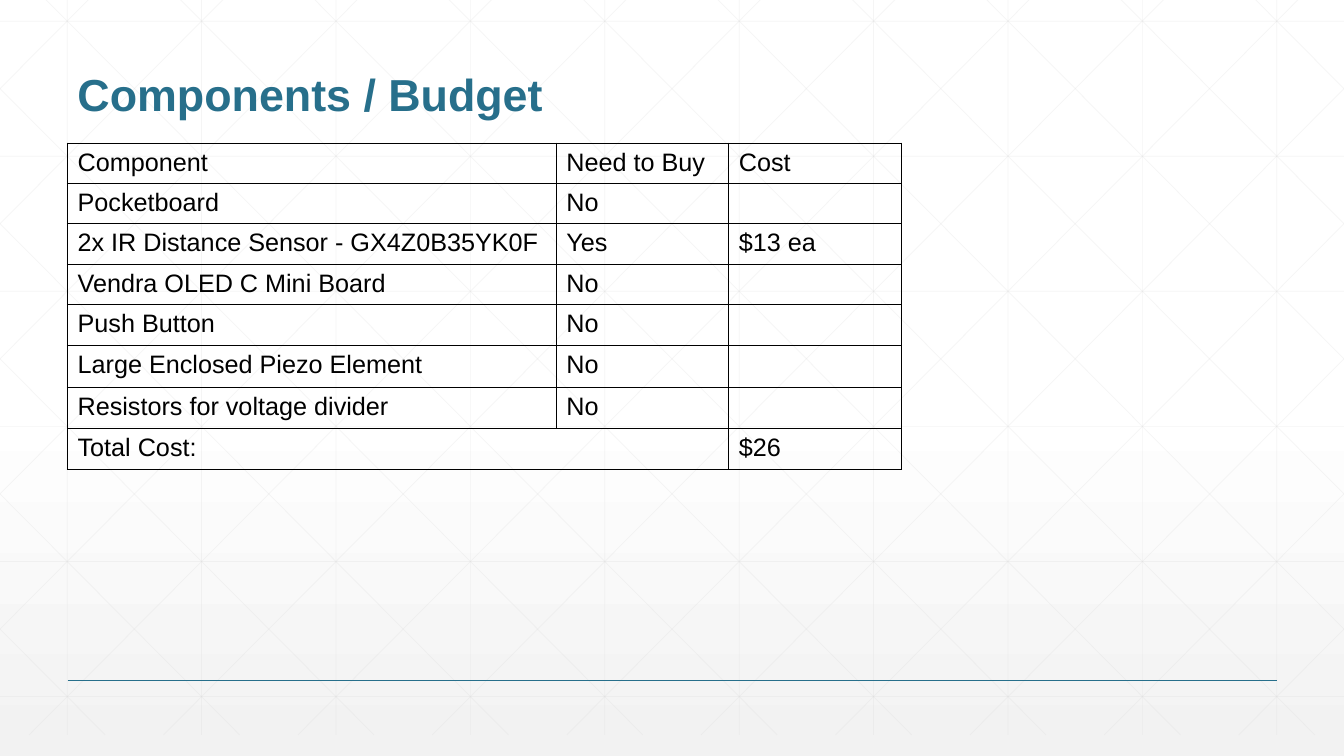
from typing import Any, NamedTuple

from lxml import etree
from pptx import Presentation
from pptx.dml.color import RGBColor
from pptx.enum import shapes, text
from pptx.oxml import ns
from pptx.util import Inches, Pt

WHITE = RGBColor(0xFF, 0xFF, 0xFF)
PALE_GREY = RGBColor(0xF2, 0xF2, 0xF2)
GRID_GREY = RGBColor(0xD9, 0xD9, 0xD9)
TEAL = RGBColor(0x27, 0x6F, 0x8B)
BLACK = RGBColor(0, 0, 0)

WIDTH, HEIGHT = 40 / 3, 7.5
GRID_TOP, GRID_BOTTOM = -0.21, 7.29
GRID_STEP = 4 / 3
DIAGONAL_START, DIAGONAL_RUN = 0.25, 7.46

COLUMN_WIDTHS = (4.85, 1.71, 1.71)
ROW_HEIGHTS = (0.38,) * 4 + (0.41,) * 4


class Line(NamedTuple):
    x1: float
    y1: float
    x2: float
    y2: float


class Component(NamedTuple):
    name: str
    need_to_buy: str
    cost: str = ""


BUDGET = (
    Component("Component", "Need to Buy", "Cost"),
    Component("Pocketboard", "No"),
    Component("2x IR Distance Sensor - GX4Z0B35YK0F", "Yes", "$13 ea"),
    Component("Vendra OLED C Mini Board", "No"),
    Component("Push Button", "No"),
    Component("Large Enclosed Piezo Element", "No"),
    Component("Resistors for voltage divider", "No"),
    Component("Total Cost:", "", "$26"),
)


def add_child(parent: Any, tag: str, **attributes: str) -> Any:
    return etree.SubElement(parent, ns.qn(tag), attributes)


def draw_line(slide: Any, line: Line, color: RGBColor, width: float, alpha: int = 100) -> None:
    connector = slide.shapes.add_connector(
        shapes.MSO_CONNECTOR.STRAIGHT, *(Inches(value) for value in line)
    )
    connector.line.color.rgb = color
    connector.line.width = Pt(width)
    properties = connector._element.spPr
    if alpha < 100:
        color_element = next(properties.iter(ns.qn("a:srgbClr")))
        add_child(color_element, "a:alpha", val=str(alpha * 1000))
    add_child(properties, "a:effectLst")


def diagonal(index: int) -> Line:
    slope = (GRID_BOTTOM - GRID_TOP) / DIAGONAL_RUN
    start = DIAGONAL_START + index * GRID_STEP
    left, right = max(start, 0), min(start + DIAGONAL_RUN, WIDTH)
    return Line(left, GRID_TOP + (left - start) * slope,
                right, GRID_TOP + (right - start) * slope)


def grid_lines() -> list[Line]:
    columns = [GRID_STEP * (index + 0.5) for index in range(10)]
    rows = [0.21 + 1.34 * index for index in range(6)]
    falling = [diagonal(index) for index in range(-5, 10)]
    rising = [Line(WIDTH - line.x1, line.y1, WIDTH - line.x2, line.y2) for line in falling]
    return (
        [Line(x, GRID_TOP, x, GRID_BOTTOM) for x in columns]
        + [Line(0, y, WIDTH, y) for y in rows]
        + falling + rising
    )


def write_text(frame: Any, words: str, size: float, color: RGBColor, bold: bool = False) -> None:
    paragraph = frame.paragraphs[0]
    paragraph.text = words
    paragraph.font.color.rgb = color
    font_format = {"name": "Arial", "size": Pt(size), "bold": bold}
    for target in (paragraph.font, *(run.font for run in paragraph.runs)):
        for name, value in font_format.items():
            setattr(target, name, value)
        target.color.rgb = color


def add_borders(cell: Any) -> None:
    properties = cell._tc.get_or_add_tcPr()
    for position, side in enumerate(("a:lnL", "a:lnR", "a:lnT", "a:lnB")):
        border = etree.Element(ns.qn(side), w=str(Pt(1)))
        fill = add_child(border, "a:solidFill")
        add_child(fill, "a:srgbClr", val=str(BLACK))
        properties.insert(position, border)


def draw_title(slide: Any) -> None:
    title = slide.shapes.add_textbox(Inches(0.67), Inches(0.25), Inches(12), Inches(1))
    frame_format = {"word_wrap": True, "vertical_anchor": text.MSO_ANCHOR.BOTTOM}
    for name, value in frame_format.items():
        setattr(title.text_frame, name, value)
    write_text(title.text_frame, "Components / Budget", 32, TEAL, bold=True)
    title.text_frame.paragraphs[0].line_spacing = 0.9


def draw_budget(slide: Any) -> None:
    table = slide.shapes.add_table(
        len(BUDGET), len(COLUMN_WIDTHS), Inches(0.67), Inches(1.42),
        Inches(sum(COLUMN_WIDTHS)), Inches(sum(ROW_HEIGHTS)),
    ).table
    for name, value in {"first_row": False, "horz_banding": False}.items():
        setattr(table, name, value)
    for column, width in zip(table.columns, COLUMN_WIDTHS):
        column.width = Inches(width)
    for row, height, component in zip(table.rows, ROW_HEIGHTS, BUDGET):
        row.height = Inches(height)
        for cell, words in zip(row.cells, component):
            write_text(cell.text_frame, words, 18, BLACK)
            cell.fill.background()
            add_borders(cell)
    total_row = len(BUDGET) - 1
    table.cell(total_row, 0).merge(table.cell(total_row, 1))


def set_background(slide: Any) -> None:
    fill = slide.background.fill
    fill.gradient()
    fill.gradient_angle = 270
    for stop, position, color in zip(fill.gradient_stops, (0.53, 1), (WHITE, PALE_GREY)):
        stop.position = position
        stop.color.rgb = color


presentation = Presentation()
presentation.slide_width = Inches(WIDTH)
presentation.slide_height = Inches(HEIGHT)
slide = presentation.slides.add_slide(presentation.slide_layouts[6])
set_background(slide)
for grid_line in grid_lines():
    draw_line(slide, grid_line, GRID_GREY, 0.5, alpha=25)
draw_line(slide, Line(0.67, 6.75, 12.67, 6.75), TEAL, 1)
draw_title(slide)
draw_budget(slide)
presentation.save("out.pptx")
